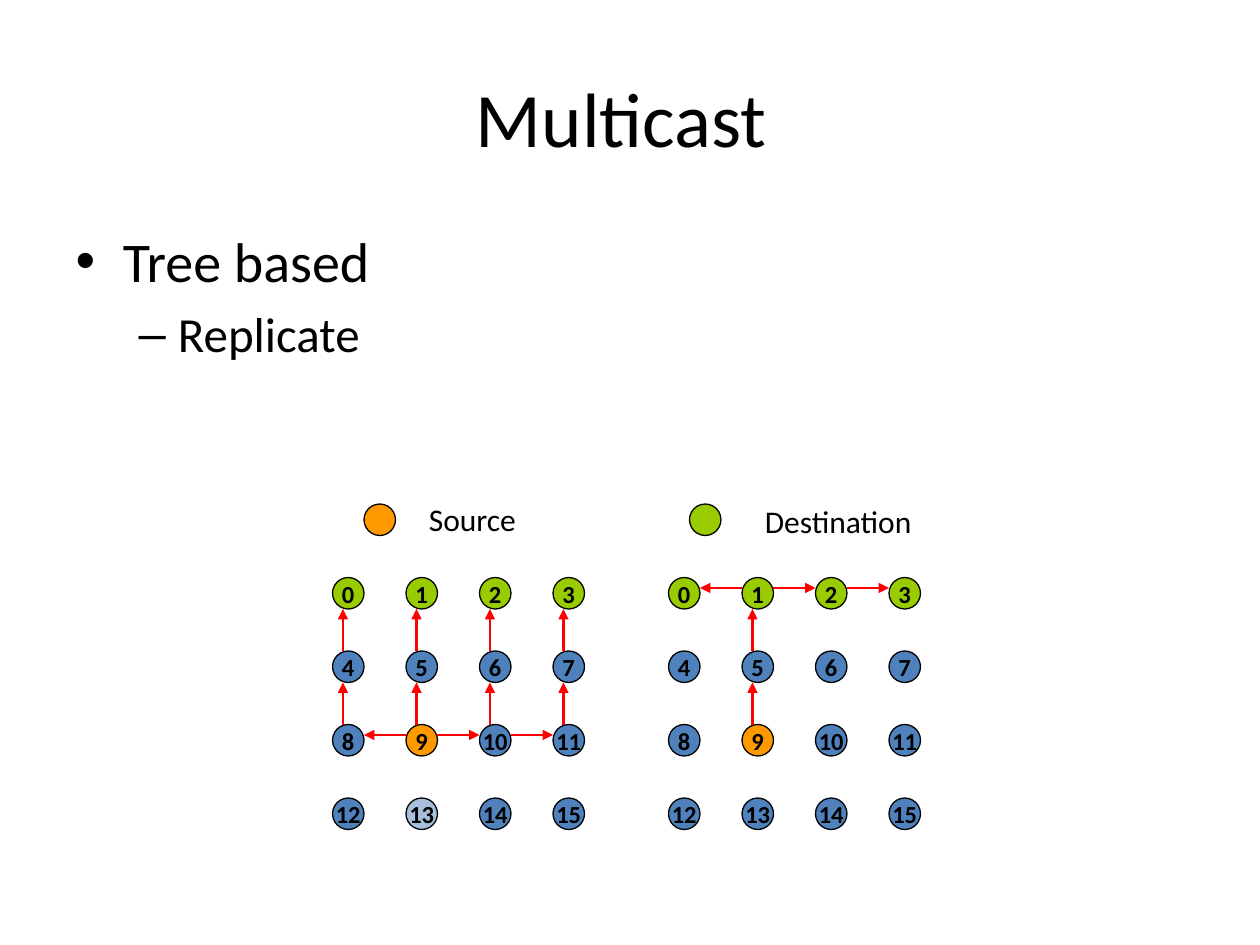
from dataclasses import dataclass, field

from lxml.etree import SubElement
from pptx import Presentation
from pptx.dml.color import RGBColor
from pptx.enum.shapes import MSO_CONNECTOR, MSO_SHAPE
from pptx.enum.text import MSO_ANCHOR, PP_ALIGN
from pptx.oxml.ns import qn
from pptx.util import Pt

HUES = {
    "node": "4F81BD",
    "source": "FF9900",
    "dest": "99CC00",
    "link": "FF0000",
    "ink": "000000",
}
FONT = "Calibri"
SIDE = 4
SIZE = 18
STEP = 42
LANE = 6
TOP = 330


@dataclass
class Mesh:
    left: float
    links: list[tuple[int, int]]
    faint: set[int] = field(default_factory=set)


@dataclass
class Key:
    label: str
    hue: str
    dot: float
    left: float
    top: float
    width: float


MESHES = [
    Mesh(
        190,
        [(9, 8), (9, 10), (10, 11)] + [(n, n - SIDE) for n in range(4, 12)],
        {13},
    ),
    Mesh(382, [(9, 5), (5, 1), (1, 0), (1, 2), (2, 3)]),
]
KEYS = [
    Key("Source", "source", 208, 238, 282, 78),
    Key("Destination", "dest", 394, 430, 283.5, 114),
]


def color(name: str) -> RGBColor:
    return RGBColor.from_string(HUES[name])


def style(frame, size: float, bold: bool = False) -> None:
    for para in frame.paragraphs:
        for run in para.runs:
            run.font.name = FONT
            run.font.size = Pt(size)
            run.font.bold = bold
            run.font.color.rgb = color("ink")


def place(shape, left: float, top: float, width: float, height: float) -> None:
    shape.left, shape.top = Pt(left), Pt(top)
    shape.width, shape.height = Pt(width), Pt(height)


def add_dot(slide, left: float, top: float, hue: str, label: str = "", faint: bool = False) -> None:
    dot = slide.shapes.add_shape(MSO_SHAPE.OVAL, Pt(left), Pt(top), Pt(SIZE), Pt(SIZE))
    dot.shadow.inherit = False
    dot.fill.solid()
    dot.fill.fore_color.rgb = color(hue)
    if faint:
        tint = dot._element.spPr.find(qn("a:solidFill")).find(qn("a:srgbClr"))
        SubElement(tint, qn("a:alpha"), val="50000")
    dot.line.color.rgb = color("ink")
    dot.line.width = Pt(0.75)
    if label:
        frame = dot.text_frame
        frame.text = label
        frame.word_wrap = False
        frame.vertical_anchor = MSO_ANCHOR.MIDDLE
        frame.paragraphs[0].alignment = PP_ALIGN.CENTER
        style(frame, 14, True)


def spot(mesh: Mesh, node: int) -> tuple[float, float]:
    row, col = divmod(node, SIDE)
    return mesh.left + col * STEP, TOP + row * STEP


def add_link(slide, mesh: Mesh, start: int, end: int) -> None:
    x1, y1 = spot(mesh, start)
    x2, y2 = spot(mesh, end)
    if y1 == y2:
        y1 = y2 = y1 + LANE
        if x1 < x2:
            x1 += SIZE
        else:
            x2 += SIZE
    else:
        x1 = x2 = x1 + LANE
        y2 += SIZE
    link = slide.shapes.add_connector(MSO_CONNECTOR.STRAIGHT, Pt(x1), Pt(y1), Pt(x2), Pt(y2))
    link.line.color.rgb = color("link")
    link.line.width = Pt(1.5)
    SubElement(link.line._get_or_add_ln(), qn("a:tailEnd"), type="triangle")
    SubElement(link._element.spPr, qn("a:effectLst"))


def add_mesh(slide, mesh: Mesh) -> None:
    for node in range(SIDE * SIDE):
        hue = "dest" if node < SIDE else "source" if node == 9 else "node"
        add_dot(slide, *spot(mesh, node), hue, str(node), node in mesh.faint)
    for start, end in mesh.links:
        add_link(slide, mesh, start, end)


def add_key(slide, key: Key) -> None:
    add_dot(slide, key.dot, 288, key.hue)
    box = slide.shapes.add_textbox(Pt(key.left), Pt(key.top), Pt(key.width), Pt(29))
    box.text_frame.word_wrap = True
    box.text_frame.text = key.label
    style(box.text_frame, 18)


def main() -> None:
    deck = Presentation()
    deck.slide_width, deck.slide_height = Pt(720), Pt(540)
    slide = deck.slides.add_slide(deck.slide_layouts[1])

    title = slide.shapes.title
    place(title, 36, 21.6, 648, 90)
    title.text_frame.text = "Multicast "
    style(title.text_frame, 44)

    body = slide.placeholders[1]
    place(body, 36, 126, 648, 356.4)
    frame = body.text_frame
    frame.text = "Tree based"
    style(frame, 32)
    para = frame.add_paragraph()
    para.text = "Replicate"
    para.level = 1
    font = para.runs[0].font
    font.name, font.size = FONT, Pt(28)
    font.color.rgb = color("ink")

    for mesh in MESHES:
        add_mesh(slide, mesh)
    for key in KEYS:
        add_key(slide, key)
    deck.save("out.pptx")


if __name__ == "__main__":
    main()
